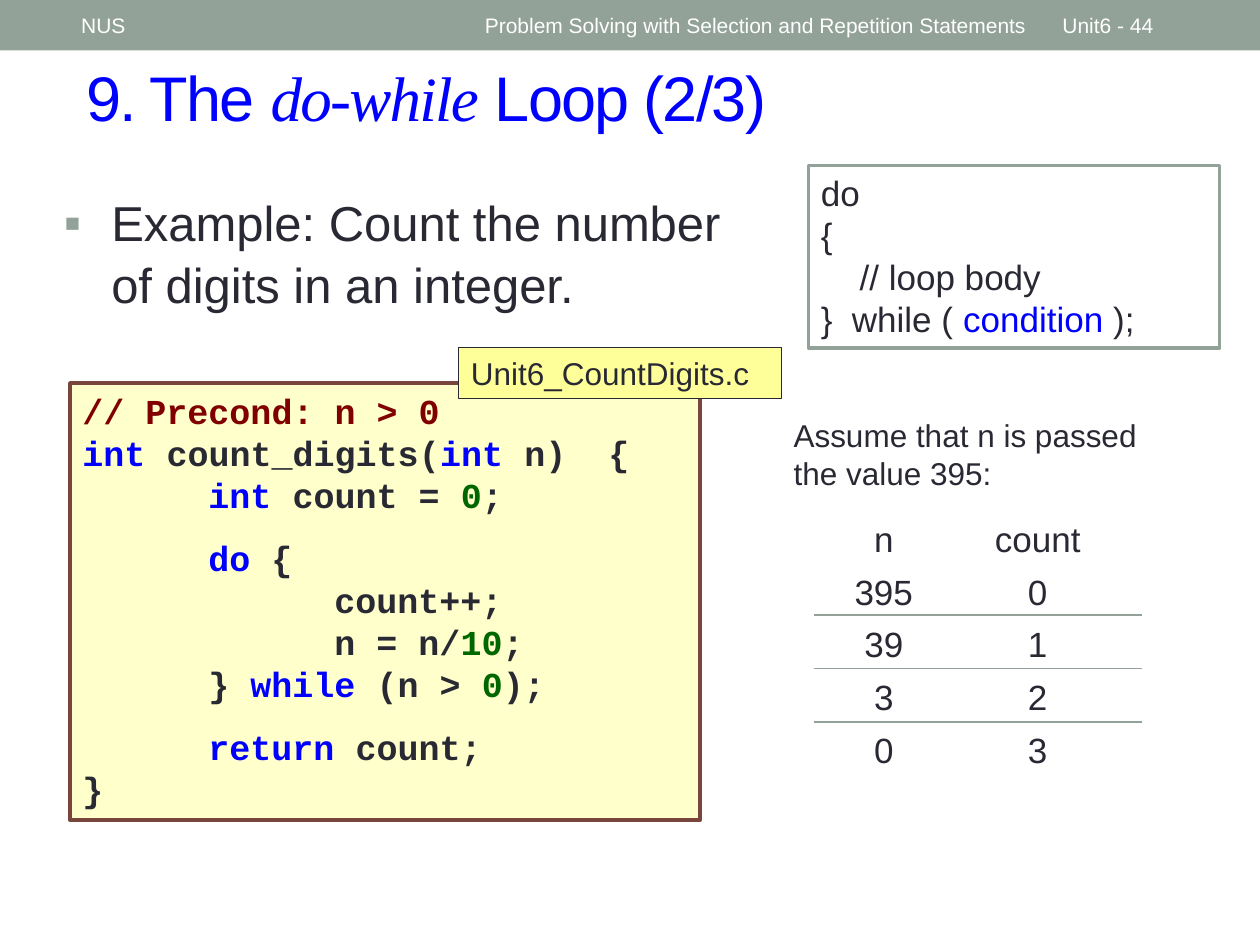
from lxml import etree
from pptx import Presentation
from pptx import util as u
from pptx.dml.color import RGBColor
from pptx.enum import shapes, text
from pptx.oxml import ns

INK, BLUE, GREEN, MAROON = "292934", "0000FF", "006600", "800000"
SAGE, BROWN, WHITE = "93A299", "79463D", "FFFFFF"


def rgb(value):
    return RGBColor.from_string(value)


def add_xml(parent, tag, **attributes):
    return etree.SubElement(parent, ns.qn(tag), attributes)


class SlideBuilder:
    font = "Arial"
    code_font = "Courier New"

    def __init__(self, slide):
        self.slide = slide

    def set_lines(self, frame, lines, size, font=font, bold=False, align=text.PP_ALIGN.LEFT):
        """Fill the frame; a line is a list of (words, colour) pairs."""
        frame.word_wrap = True
        frame.auto_size = text.MSO_AUTO_SIZE.NONE
        for number, line in enumerate(lines):
            paragraph = frame.add_paragraph() if number else frame.paragraphs[0]
            paragraph.alignment = align
            for words, color in line:
                run = paragraph.add_run()
                run.text = words
                run.font.name = font
                run.font.size = u.Pt(size)
                run.font.bold = bold
                run.font.color.rgb = rgb(color)
        return frame

    def title(self, lines, size, left, top, width, height):
        title = self.slide.shapes.title
        title.left, title.top = u.Pt(left), u.Pt(top)
        title.width, title.height = u.Pt(width), u.Pt(height)
        frame = self.set_lines(title.text_frame, lines, size)
        frame.vertical_anchor = text.MSO_ANCHOR.TOP
        for run in frame.paragraphs[0].runs:
            run.font._element.set("spc", "-100")
        return frame

    def label(self, words, size, left, top, width, height, color=INK,
              align=text.PP_ALIGN.LEFT, anchor=text.MSO_ANCHOR.TOP):
        box = self.slide.shapes.add_textbox(u.Pt(left), u.Pt(top), u.Pt(width), u.Pt(height))
        box.text_frame.vertical_anchor = anchor
        return self.set_lines(box.text_frame, [[(words, color)]], size, align=align)

    def bullet(self, words, size, left, top, width, height, indent):
        frame = self.label(words, size, left, top, width, height)
        paragraph = frame.paragraphs[0]
        paragraph.line_spacing = 1.05
        properties = paragraph._p.get_or_add_pPr()
        properties.set("marL", str(u.Pt(indent)))
        properties.set("indent", str(-u.Pt(indent)))
        add_xml(add_xml(properties, "a:buClr"), "a:srgbClr", val=SAGE)
        add_xml(properties, "a:buFont", typeface=self.font)
        add_xml(properties, "a:buChar", char="▪")

    def panel(self, left, top, width, height, fill, line=None, line_width=2.08):
        panel = self.slide.shapes.add_shape(
            shapes.MSO_SHAPE.RECTANGLE, u.Pt(left), u.Pt(top), u.Pt(width), u.Pt(height))
        panel.shadow.inherit = False
        panel.fill.solid()
        panel.fill.fore_color.rgb = rgb(fill)
        if line:
            panel.line.color.rgb = rgb(line)
            panel.line.width = u.Pt(line_width)
        else:
            panel.line.fill.background()
        panel.text_frame.vertical_anchor = text.MSO_ANCHOR.TOP
        return panel.text_frame

    def code(self, frame, lines, size, tab_stops, gaps_before):
        self.set_lines(frame, lines, size, self.code_font, bold=True)
        for number, paragraph in enumerate(frame.paragraphs):
            if number in gaps_before:
                paragraph.space_before = u.Pt(12)
            tabs = add_xml(paragraph._p.get_or_add_pPr(), "a:tabLst")
            for stop in tab_stops:
                add_xml(tabs, "a:tab", pos=str(u.Pt(stop)), algn="l")

    def rule(self, left, right, y):
        rule = self.slide.shapes.add_connector(
            shapes.MSO_CONNECTOR.STRAIGHT, u.Pt(left), u.Pt(y), u.Pt(right), u.Pt(y))
        rule.line.color.rgb = rgb(SAGE)
        rule.line.width = u.Pt(0.75)
        add_xml(rule._element.spPr, "a:effectLst")


def main():
    deck = Presentation()
    deck.slide_width, deck.slide_height = u.Pt(720), u.Pt(540)
    page = SlideBuilder(deck.slides.add_slide(deck.slide_layouts[5]))

    page.panel(0, 0, 720, 28.8, SAGE)
    header = [(" NUS", 36, 228),
              ("Problem Solving with Selection and Repetition Statements", 270, 324),
              ("Unit6 - 44", 600, 84)]
    for words, left, width in header:
        page.label(words, 12, left, 1.44, width, 25.92, WHITE, anchor=text.MSO_ANCHOR.MIDDLE)

    heading = page.title(
        [[("9. The ", BLUE), ("do-while", BLUE), (" Loop (2/3)", BLUE)]], 36, 42, 30, 660, 66)
    loop_name = heading.paragraphs[0].runs[1].font
    loop_name.name, loop_name.italic = "Times New Roman", True

    page.bullet("Example: Count the number of digits in an integer.", 28,
                29.5, 105, 401, 86.4, indent=27)

    syntax = page.panel(462, 94.5, 235, 104.4, WHITE, SAGE)
    page.set_lines(syntax, [
        [("do", INK)],
        [("{", INK)],
        [("    // loop body", INK)],
        [("}  while ( ", INK), ("condition", BLUE), (" );", INK)],
    ], 20)

    program = page.panel(40, 218.9, 360, 249.8, "FFFFCC", BROWN)
    page.code(program, [
        [("// Precond: n > 0", MAROON)],
        [("int ", BLUE), ("count_digits(", INK), ("int ", BLUE), ("n)  {", INK)],
        [("\t", INK), ("int", BLUE), (" count = ", INK), ("0", GREEN), (";", INK)],
        [("\t", INK), ("do ", BLUE), ("{", INK)],
        [("\t\tcount++;", INK)],
        [("\t\tn = n/", INK), ("10", GREEN), (";", INK)],
        [("\t} ", INK), ("while", BLUE), (" (n > ", INK), ("0", GREEN), (");", INK)],
        [("\t", INK), ("return", BLUE), (" count;", INK)],
        [("}", INK)],
    ], 20, tab_stops=(72, 144), gaps_before=(3, 7))

    file_name = page.panel(262, 198.7, 184.5, 29, "FFFF99", INK, 0.75)
    page.set_lines(file_name, [[("Unit6_CountDigits.c", INK)]], 18)

    page.label("Assume that n is passed the value 395:", 18, 446.4, 234, 232.5, 51)

    trace = [("n", "count"), ("395", "0"), ("39", "1"), ("3", "2"), ("0", "3")]
    for row, values in enumerate(trace):
        for center, value in zip((505, 593), values):
            page.label(value, 20, center - 42, 292 + 30.2 * row, 84, 31.5,
                       align=text.PP_ALIGN.CENTER)
    for row in range(3):
        page.rule(465, 652.5, 351.4 + 30.6 * row)

    deck.save("out.pptx")


if __name__ == "__main__":
    main()
